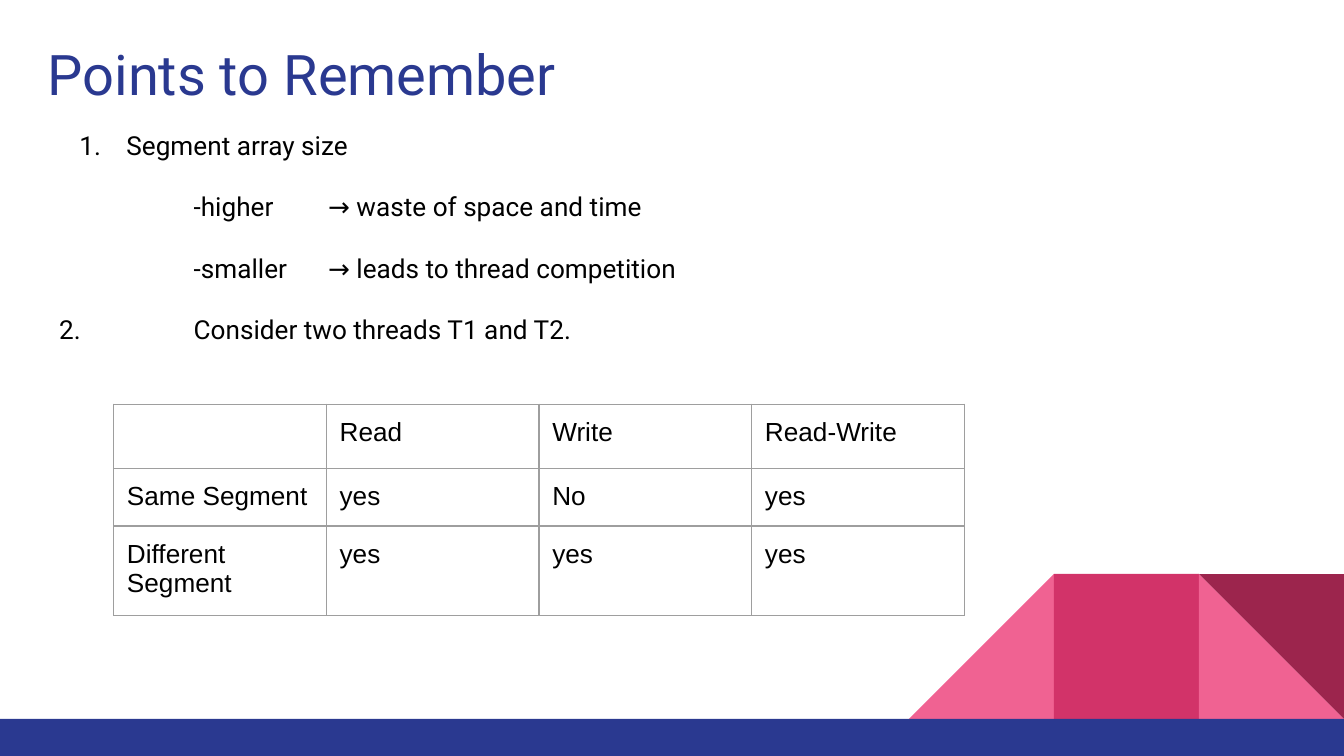
from collections import namedtuple
from dataclasses import dataclass

from lxml import etree
from pptx import Presentation
from pptx import util as u
from pptx.dml.color import RGBColor
from pptx.enum import shapes, text
from pptx.oxml import ns

Box = namedtuple("Box", "left top width height")


@dataclass(frozen=True)
class Theme:
    """Colours, fonts and type sizes of the deck."""
    blue: str = "2A3990"
    pink: str = "F06292"
    rose: str = "D23369"
    wine: str = "9C254D"
    ink: str = "000000"
    grid: str = "9E9E9E"
    text_font: str = "Roboto"
    table_font: str = "Arial"
    title_size: float = 30
    body_size: float = 14
    gap: float = 16
    grid_width: float = 0.75


THEME = Theme()
INSET = u.Cm(0.25)


def style_font(font, name, size, colour):
    """Set the face, size and colour of a font."""
    font.name = name
    font.size = u.Pt(size)
    font.color.rgb = RGBColor.from_string(colour)


def set_insets(target):
    """Give a cell or text frame equal margins."""
    target.margin_left = target.margin_right = INSET
    target.margin_top = target.margin_bottom = INSET


def add_block(page, kind, box, colour, rotation=0):
    """Add a flat, unlined preset shape."""
    block = page.shapes.add_shape(kind, *box)
    block.shadow.inherit = False
    block.fill.solid()
    block.fill.fore_color.rgb = RGBColor.from_string(colour)
    block.line.fill.background()
    block.rotation = rotation


def add_text(page, box, lines, size, colour):
    """Add a text box and return its paragraphs."""
    frame = page.shapes.add_textbox(*box).text_frame
    frame.word_wrap = True
    frame.vertical_anchor = text.MSO_ANCHOR.TOP
    set_insets(frame)
    frame.text = "\n".join(lines)
    for para in frame.paragraphs:
        style_font(para.font, THEME.text_font, size, colour)
    return frame.paragraphs


def add_footer(page, box):
    """Draw the bottom band with the row of tiles above its right end."""
    band_height = u.Cm(0.7)
    side = box.height - band_height
    triangle = shapes.MSO_SHAPE.RIGHT_TRIANGLE
    tiles = [
        (2, triangle, THEME.pink, 270),
        (1, shapes.MSO_SHAPE.RECTANGLE, THEME.rose, 0),
        (0, triangle, THEME.pink, 0),
        (0, triangle, THEME.wine, 180),
    ]
    for steps, kind, colour, rotation in tiles:
        left = box.left + box.width - (steps + 1) * side
        add_block(page, kind, Box(left, box.top, side, side), colour, rotation)
    band = Box(box.left, box.top + side, box.width, band_height)
    add_block(page, shapes.MSO_SHAPE.RECTANGLE, band, THEME.blue)


def add_title(page, box):
    """Place the heading."""
    add_text(page, box, ["Points to Remember"], THEME.title_size, THEME.blue)


def set_tabs(para, *stops):
    """Give a paragraph left tab stops."""
    tabs = etree.Element(ns.qn("a:tabLst"))
    for stop in stops:
        etree.SubElement(tabs, ns.qn("a:tab"), pos=str(stop), algn="l")
    para._p.get_or_add_pPr().insert(0, tabs)


def add_points(page, box):
    """Place the numbered points."""
    lines = [
        "Segment array size",
        "\t-higher\t→ waste of space and time",
        "\t-smaller\t→ leads to thread competition",
        "2.\tConsider two threads T1 and T2.",
    ]
    first, *others = add_text(page, box, lines, THEME.body_size, THEME.ink)
    for para in others:
        set_tabs(para, u.Cm(2.54), u.Cm(5.08))
        para.space_before = u.Pt(THEME.gap)
    properties = first._p.get_or_add_pPr()
    properties.set("marL", str(u.Cm(1.27)))
    properties.set("indent", str(-u.Cm(0.89)))
    number = etree.Element(ns.qn("a:buAutoNum"), type="arabicPeriod")
    properties.insert(0, number)


def add_borders(cell):
    """Draw a thin line on each side of a cell."""
    properties = cell._tc.get_or_add_tcPr()
    for side in ("lnL", "lnR", "lnT", "lnB"):
        line = etree.SubElement(properties, ns.qn(f"a:{side}"),
                                w=str(u.Pt(THEME.grid_width)))
        fill = etree.SubElement(line, ns.qn("a:solidFill"))
        etree.SubElement(fill, ns.qn("a:srgbClr"), val=THEME.grid)


def add_access_table(page, box):
    """Place the table of thread access by segment."""
    rows = [
        ["", "Read", "Write", "Read-Write"],
        ["Same Segment", "yes", "No", "yes"],
        ["Different Segment", "yes", "yes", "yes"],
    ]
    table = page.shapes.add_table(len(rows), len(rows[0]), *box).table
    table.first_row = table.horz_banding = False
    for row, height in zip(table.rows, (1.21, 1.05, 1.6)):
        row.height = u.Cm(height)
    for row, words in zip(table.rows, rows):
        for cell, word in zip(row.cells, words):
            cell.text = word
            set_insets(cell)
            style_font(cell.text_frame.paragraphs[0].font,
                       THEME.table_font, THEME.body_size, THEME.ink)
            add_borders(cell)
            cell.fill.background()


def cm_box(*lengths):
    """Turn four centimetre lengths into a box."""
    return Box(*map(u.Cm, lengths))


def main():
    """Build the deck and save it."""
    deck = Presentation()
    deck.slide_width, deck.slide_height = u.Cm(25.4), u.Cm(14.29)
    page = deck.slides.add_slide(deck.slide_layouts[6])
    add_footer(page, cm_box(0, 10.85, 25.4, 3.44))
    add_title(page, cm_box(0.65, 0.5, 23.67, 1.68))
    add_points(page, cm_box(0.87, 2.2, 23.67, 10.67))
    add_access_table(page, cm_box(2.15, 7.64, 16.08, 3.86))
    deck.save("out.pptx")


if __name__ == "__main__":
    main()
